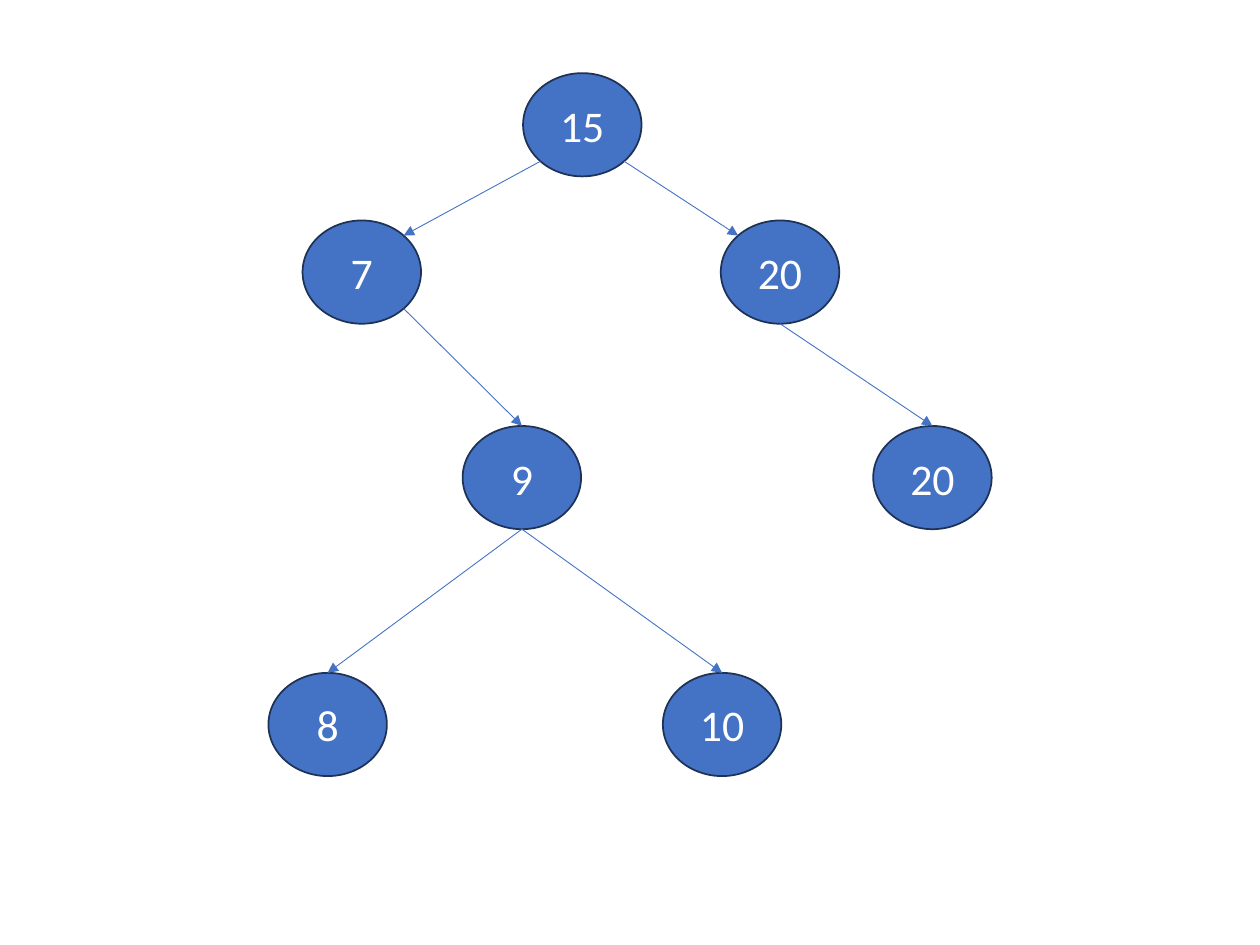
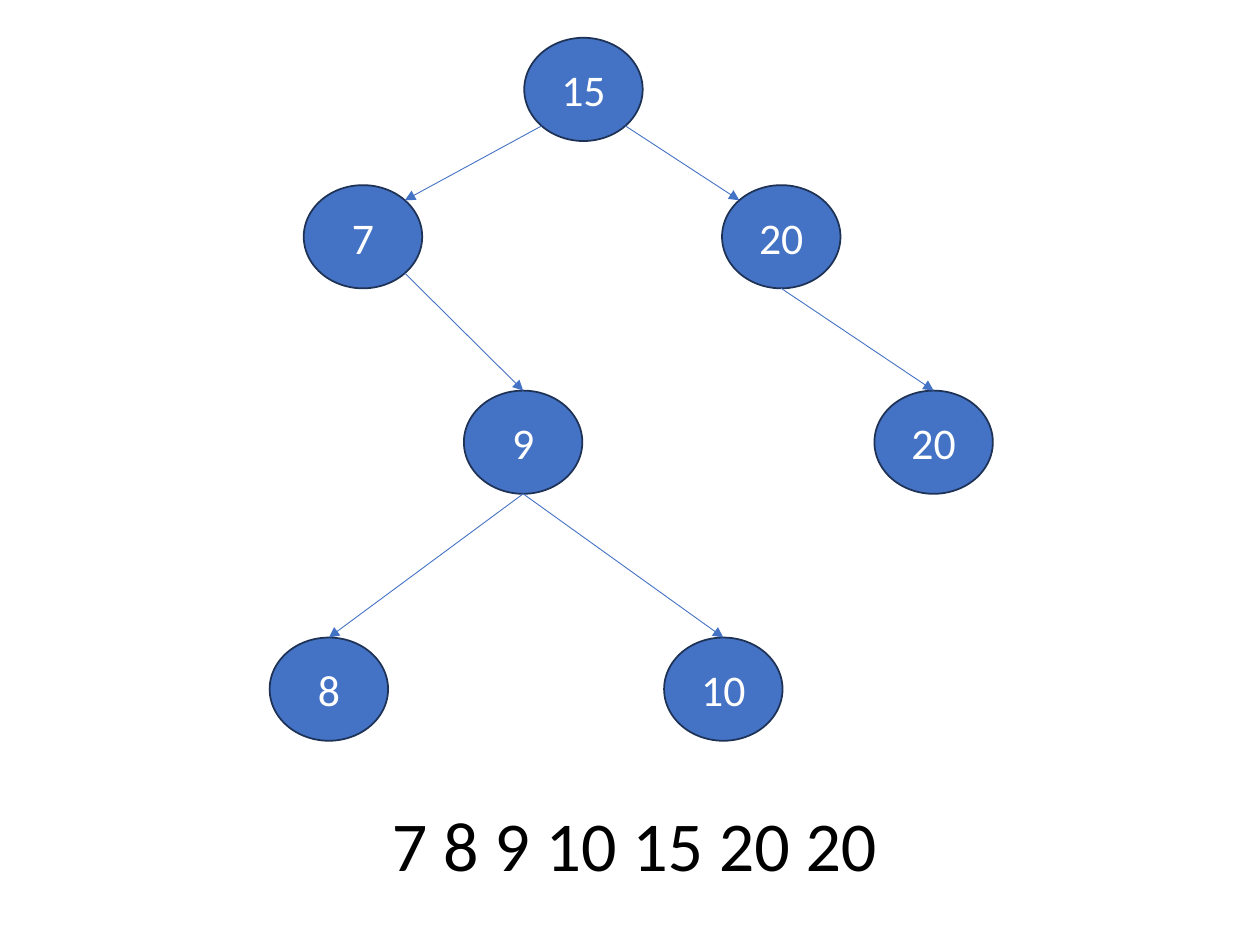
from collections import namedtuple
from math import sqrt

from lxml.etree import SubElement
from pptx import Presentation
from pptx.dml.color import RGBColor
from pptx.enum.shapes import MSO_CONNECTOR as Connector, MSO_SHAPE as Preset
from pptx.enum.text import MSO_ANCHOR as Anchor, MSO_AUTO_SIZE as AutoSize, PP_ALIGN as Align
from pptx.oxml.ns import qn
from pptx.util import Pt

COLORS = {"node": "4472C4", "outline": "1E3256", "label": "FFFFFF", "text": "000000"}
FONT = "Calibri"
NODE_WIDTH, NODE_HEIGHT = 67.7, 59
LEVEL_TOPS = [0, 84.2, 201.6, 342.7]
DIAGONAL = 1 / sqrt(2)
SITES = {
    "top": (0, -1),
    "bottom": (0, 1),
    "top left": (-DIAGONAL, -DIAGONAL),
    "top right": (DIAGONAL, -DIAGONAL),
    "bottom left": (-DIAGONAL, DIAGONAL),
    "bottom right": (DIAGONAL, DIAGONAL),
}

Box = namedtuple("Box", "left top width height")
Node = namedtuple("Node", "label left level")

NODES = {
    "root": Node("15", 145.5, 0),
    "left": Node("7", 19.5, 1),
    "right": Node("20", 258.5, 1),
    "middle": Node("9", 111, 2),
    "far right": Node("20", 345.6, 2),
    "left leaf": Node("8", 0, 3),
    "right leaf": Node("10", 225.4, 3),
}
EDGES = [
    ("root", "bottom left", "left", "top right"),
    ("root", "bottom right", "right", "top left"),
    ("left", "bottom right", "middle", "top"),
    ("right", "bottom", "far right", "top"),
    ("middle", "bottom", "left leaf", "top"),
    ("middle", "bottom", "right leaf", "top"),
]


def color(name):
    """Return the named palette colour."""
    return RGBColor.from_string(COLORS[name])


def apply_format(target, values):
    """Set every attribute in a dict of format values."""
    for name, value in values.items():
        setattr(target, name, value)


def write_text(shape, text, size, color_name):
    """Write one centred line of text into a shape."""
    paragraph = shape.text_frame.paragraphs[0]
    paragraph.alignment = Align.CENTER
    run = paragraph.add_run()
    run.text = text
    apply_format(run.font, {"name": FONT, "size": Pt(size)})
    run.font.color.rgb = color(color_name)


def node_box(node, tree):
    """Place a node relative to the tree's box."""
    return Box(tree.left + node.left, tree.top + LEVEL_TOPS[node.level], NODE_WIDTH, NODE_HEIGHT)


def site_point(box, site):
    """Return the point of a connection site on an ellipse."""
    across, down = SITES[site]
    return (
        Pt(box.left + box.width * (1 + across) / 2),
        Pt(box.top + box.height * (1 + down) / 2),
    )


def add_node(slide, box, label):
    """Draw one labelled tree node."""
    shape = slide.shapes.add_shape(Preset.OVAL, *map(Pt, box))
    shape.shadow.inherit = False
    shape.fill.solid()
    shape.fill.fore_color.rgb = color("node")
    shape.line.color.rgb = color("outline")
    shape.line.width = Pt(1)
    shape.text_frame.vertical_anchor = Anchor.MIDDLE
    write_text(shape, label, 25, "label")


def add_arrow(slide, start, end):
    """Draw a thin arrow between two points."""
    arrow = slide.shapes.add_connector(Connector.STRAIGHT, *start, *end)
    arrow.line.color.rgb = color("node")
    arrow.line.width = Pt(0.5)
    properties = arrow.element.spPr
    SubElement(properties.find(qn("a:ln")), qn("a:tailEnd"), type="triangle")
    SubElement(properties, qn("a:effectLst"))


def add_tree(slide, tree):
    """Draw the binary search tree inside its box."""
    boxes = {name: node_box(node, tree) for name, node in NODES.items()}
    for name, node in NODES.items():
        add_node(slide, boxes[name], node.label)
    for parent, exit_site, child, entry_site in EDGES:
        add_arrow(slide, site_point(boxes[parent], exit_site), site_point(boxes[child], entry_site))


def add_traversal(slide, box, text):
    """Write the traversal order below the tree."""
    shape = slide.shapes.add_textbox(*map(Pt, box))
    apply_format(shape.text_frame, {"word_wrap": True, "auto_size": AutoSize.SHAPE_TO_FIT_TEXT})
    write_text(shape, text, 40, "text")


def main():
    """Build the two tree slides."""
    presentation = Presentation()
    apply_format(presentation, {"slide_width": Pt(720), "slide_height": Pt(540)})
    blank_layout = presentation.slide_layouts[6]
    tree_slide = presentation.slides.add_slide(blank_layout)
    add_tree(tree_slide, Box(153.4, 41.8, 413.3, 401.7))
    traversal_slide = presentation.slides.add_slide(blank_layout)
    add_tree(traversal_slide, Box(154.1, 21.6, 413.3, 401.7))
    add_traversal(traversal_slide, Box(41, 454.3, 643, 55.5), "7 8 9 10 15 20 20")
    presentation.save("out.pptx")


if __name__ == "__main__":
    main()
